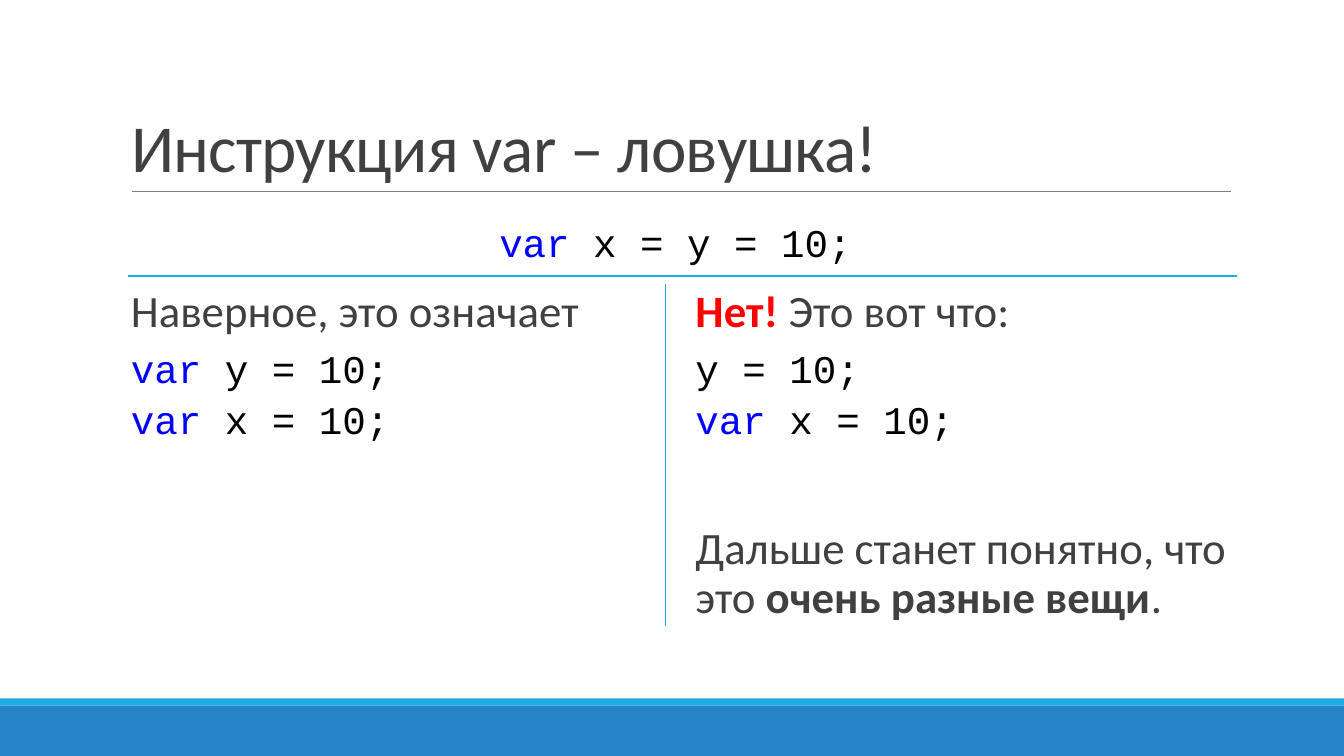
from pptx import Presentation
from pptx import util as u
from pptx.dml.color import RGBColor
from pptx.enum import shapes, text
from pptx.oxml.ns import qn
from lxml import etree

WIDTH, HEIGHT = 13.33, 7.5
MARGIN, COLUMN, GUTTER = 1.2, 5.4, 0.2
CONTENT = 2 * COLUMN + GUTTER
TITLE_BOTTOM, COLUMNS_TOP, COLUMNS_HEIGHT = 1.9, 2.82, 3.59
FOOTER_TOP, STRIPE = 7, 0.07
SANS, MONO = "Calibri", "Courier New"
ACCENT, BAND, RULE = "1CADE4", "2683C6", "808080"
DARK, BLACK, KEYWORD, ALERT = "404040", "000000", "0000FF", "FF0000"


def color(value):
    return RGBColor.from_string(value)


def inches(*lengths):
    return [u.Inches(length) for length in lengths]


def prose(*pieces, before=12):
    """Describe a paragraph of running text; pieces are (words, colour, bold)."""
    return dict(pieces=pieces, font=SANS, size=32, spacing=0.9, before=before, after=2)


def code(line, **spacing):
    """Describe a line of code with its var keyword coloured."""
    keyword, rest = ("var", line[3:]) if line.startswith("var") else ("", line)
    pieces = [(keyword, KEYWORD, False)] if keyword else []
    pieces.append((rest, BLACK, False))
    return dict(dict(pieces=pieces, font=MONO, size=28, spacing=1.08, before=0, after=0),
                **spacing)


def add_run(paragraph, words, font, size, tint, bold=False):
    run = paragraph.add_run()
    run.text = words
    run.font.name, run.font.size, run.font.bold = font, u.Pt(size), bold
    run.font.color.rgb = color(tint)
    return run


def add_text(slide, box, paragraphs, align=text.PP_ALIGN.LEFT,
             anchor=text.MSO_ANCHOR.TOP):
    frame = slide.shapes.add_textbox(*inches(*box)).text_frame
    frame.word_wrap = True
    frame.vertical_anchor = anchor
    frame.margin_right = 0 if align == text.PP_ALIGN.LEFT else u.Inches(0.1)
    for index, item in enumerate(paragraphs):
        paragraph = frame.add_paragraph() if index else frame.paragraphs[0]
        paragraph.alignment = align
        paragraph.line_spacing = item["spacing"]
        paragraph.space_before = u.Pt(item["before"])
        paragraph.space_after = u.Pt(item["after"])
        for words, tint, bold in item["pieces"]:
            add_run(paragraph, words, item["font"], item["size"], tint, bold)


def add_line(slide, start, end, tint, weight):
    line = slide.shapes.add_connector(shapes.MSO_CONNECTOR.STRAIGHT,
                                      *inches(*start, *end))
    line.line.color.rgb = color(tint)
    line.line.width = u.Pt(weight)
    etree.SubElement(line._element.spPr, qn("a:effectLst"))


def add_footer(slide, top):
    for y, height, fill in ((top, HEIGHT - top, BAND), (top - STRIPE, STRIPE, ACCENT)):
        bar = slide.shapes.add_shape(shapes.MSO_SHAPE.RECTANGLE,
                                     *inches(0, y, WIDTH, height))
        bar.shadow.inherit = False
        bar.fill.solid()
        bar.fill.fore_color.rgb = color(fill)
        bar.line.fill.background()


def add_title(slide, box, words):
    left, top, width, height = box
    title = slide.shapes.title
    title.left, title.top, title.width, title.height = inches(*box)
    frame = title.text_frame
    frame.auto_size = text.MSO_AUTO_SIZE.NONE
    frame.word_wrap = True
    frame.vertical_anchor = text.MSO_ANCHOR.BOTTOM
    heading = frame.paragraphs[0]
    heading.alignment, heading.line_spacing = text.PP_ALIGN.LEFT, 0.85
    run = add_run(heading, words, SANS, 48, DARK)
    run.font._element.set("spc", "-50")
    bottom = top + height
    add_line(slide, (left + 0.11, bottom), (left + width + 0.01, bottom), RULE, 0.5)


def add_question(slide, box, statement):
    left, top, width, height = box
    add_text(slide, box, [code(statement, spacing=0.9, before=12, after=2)],
             text.PP_ALIGN.CENTER, text.MSO_ANCHOR.MIDDLE)
    rule = top + height - 0.09
    add_line(slide, (left + 0.07, rule), (left + width + 0.07, rule), ACCENT, 1)


def add_comparison(slide, box, columns):
    left, top, width, height = box
    for index, paragraphs in enumerate(columns):
        x = left + index * (COLUMN + GUTTER)
        add_text(slide, (x, top, COLUMN, height), paragraphs)
    divider = left + COLUMN
    add_line(slide, (divider, top), (divider, top + height - 0.2), ACCENT, 1)


def main():
    deck = Presentation()
    deck.slide_width, deck.slide_height = inches(WIDTH, HEIGHT)
    slide = deck.slides.add_slide(deck.slide_layouts[5])
    add_footer(slide, FOOTER_TOP)
    add_title(slide, (MARGIN, 0.31, CONTENT, TITLE_BOTTOM - 0.31),
              "Инструкция var – ловушка!")
    add_question(slide, (MARGIN, 2.02, CONTENT, 0.81), "var x = y = 10;")
    guess = [prose(("Наверное, это означает", DARK, False)),
             code("var y = 10;"), code("var x = 10;")]
    truth = [prose(("Нет!", ALERT, True), (" Это вот что:", DARK, False)),
             code("y = 10;"), code("var x = 10;"),
             prose(("Дальше станет понятно, что это ", DARK, False),
                   ("очень разные вещи", DARK, True), (".", DARK, False), before=60)]
    add_comparison(slide, (MARGIN, COLUMNS_TOP, CONTENT, COLUMNS_HEIGHT), (guess, truth))
    deck.save("out.pptx")


if __name__ == "__main__":
    main()
